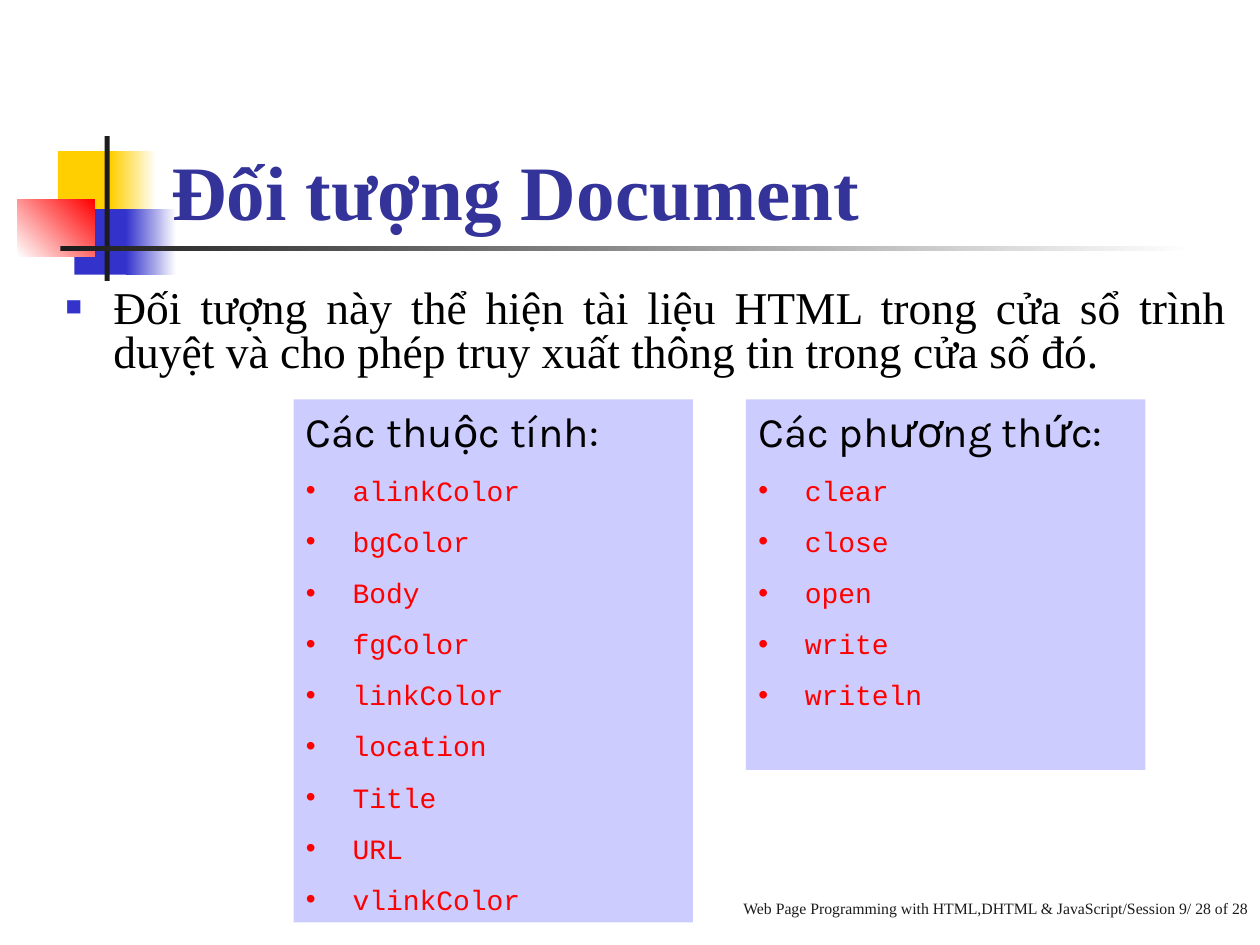
from dataclasses import dataclass

from lxml import etree
from pptx import Presentation
from pptx.dml.color import RGBColor
from pptx.enum import shapes, text
from pptx.oxml.ns import qn
from pptx.util import Inches, Pt

HUES = {
    "gold": "FFCF01", "blue": "3333CC", "red": "FF0000", "ink": "1C1C1C",
    "navy": "333399", "lilac": "CCCCFF", "white": "FFFFFF", "black": "000000",
}
SERIF, MONO, SANS = "Times New Roman", "Courier New", "Karla"


@dataclass
class Block:
    left: float
    top: float
    width: float
    height: float
    hue: str
    fade: str = ""
    angle: int = 0


@dataclass
class Panel:
    left: float
    height: float
    head: str
    items: list[str]


BLOCKS = [
    Block(0.46, 1.2, 0.48, 0.52, "gold"),
    Block(0.88, 1.2, 0.36, 0.52, "gold", "white"),
    Block(0.59, 1.66, 0.46, 0.52, "blue"),
    Block(1, 1.66, 0.4, 0.52, "blue", "white"),
    Block(0.14, 1.58, 0.61, 0.46, "white", "red", 45),
    Block(0.83, 1.08, 0.04, 1.15, "ink"),
    Block(0.48, 1.95, 9, 0.04, "ink", "white"),
]
PANELS = [
    Panel(5.92, 2.94, "Các phương thức:",
          ["clear", "close", "open", "write", "writeln"]),
    Panel(2.33, 4.15, "Các thuộc tính:",
          ["alinkColor", "bgColor", "Body", "fgColor", "linkColor",
           "location", "Title", "URL", "vlinkColor"]),
]


def color(name: str) -> RGBColor:
    return RGBColor.from_string(HUES[name])


def place(shape, left: float, top: float, width: float, height: float) -> None:
    shape.left, shape.top = Inches(left), Inches(top)
    shape.width, shape.height = Inches(width), Inches(height)


def style(para, face: str, size: float, hue: str, bold: bool = False) -> None:
    font = para.font
    font.name, font.size, font.bold = face, Pt(size), bold
    font.color.rgb = color(hue)


def bullet(para, mark: str, hue: str, indent: float, scale: int = 100) -> None:
    """Give the paragraph a hanging bullet; scale is a percentage."""
    props = para._p.get_or_add_pPr()
    props.set("marL", str(Inches(indent)))
    props.set("indent", str(-Inches(indent)))
    parts = [
        etree.Element(qn("a:buClr")),
        etree.Element(qn("a:buSzPct"), val=str(scale * 1000)),
        etree.Element(qn("a:buFont"), typeface="Arial"),
        etree.Element(qn("a:buChar"), char=mark),
    ]
    etree.SubElement(parts[0], qn("a:srgbClr"), val=HUES[hue])
    rest = props.find(qn("a:defRPr"))
    for part in parts:
        if rest is None:
            props.append(part)
        else:
            rest.addprevious(part)


def draw_block(slide, block: Block):
    shape = slide.shapes.add_shape(
        shapes.MSO_SHAPE.RECTANGLE, Inches(block.left), Inches(block.top),
        Inches(block.width), Inches(block.height))
    shape.shadow.inherit = False
    shape.line.fill.background()
    if block.fade:
        shape.fill.gradient()
        shape.fill.gradient_angle = block.angle
        for stop, hue in zip(shape.fill.gradient_stops, (block.hue, block.fade)):
            stop.color.rgb = color(hue)
    else:
        shape.fill.solid()
        shape.fill.fore_color.rgb = color(block.hue)
    return shape


def draw_panel(slide, panel: Panel) -> None:
    shape = draw_block(
        slide, Block(panel.left, 3.17, 3.17, panel.height, "lilac"))
    frame = shape.text_frame
    frame.word_wrap = True
    frame.vertical_anchor = text.MSO_ANCHOR.TOP
    head = frame.paragraphs[0]
    head.text = panel.head
    head.alignment = text.PP_ALIGN.LEFT
    head.space_before = Pt(15)
    style(head, SANS, 24, "black")
    for item in panel.items:
        para = frame.add_paragraph()
        para.text = item
        para.alignment = text.PP_ALIGN.LEFT
        para.space_before = Pt(10)
        style(para, MONO, 16, "red")
        bullet(para, "•", "red", 0.37)


def draw_title(slide) -> None:
    title = slide.shapes.title
    place(title, 1.26, 0.67, 8.52, 1.25)
    frame = title.text_frame
    frame.text = "Đối tượng Document"
    frame.auto_size = text.MSO_AUTO_SIZE.NONE
    frame.vertical_anchor = text.MSO_ANCHOR.BOTTOM
    para = frame.paragraphs[0]
    para.alignment = text.PP_ALIGN.LEFT
    style(para, SERIF, 44, "navy", True)
    slide.shapes._spTree.append(title._element)  # in front of the blocks


def draw_body(slide) -> None:
    body = slide.placeholders[1]
    place(body, 0.42, 2.25, 9.42, 1.38)
    frame = body.text_frame
    frame.text = ("Đối tượng này thể hiện tài liệu HTML trong cửa sổ trình "
                  "duyệt và cho phép truy xuất thông tin trong cửa số đó.")
    frame.auto_size = text.MSO_AUTO_SIZE.NONE
    para = frame.paragraphs[0]
    para.alignment = text.PP_ALIGN.JUSTIFY
    para.line_spacing = 0.8
    para.space_before = Pt(6.5)
    style(para, SERIF, 26, "black")
    bullet(para, "■", "blue", 0.38, 60)


def draw_footer(slide) -> None:
    box = slide.shapes.add_textbox(
        Inches(5.58), Inches(6.83), Inches(4.42), Inches(0.5))
    frame = box.text_frame
    frame.word_wrap = True
    frame.vertical_anchor = text.MSO_ANCHOR.BOTTOM
    para = frame.paragraphs[0]
    para.text = ("Web Page Programming with HTML,DHTML & "
                 "JavaScript/Session 9/ 28 of 28")
    para.alignment = text.PP_ALIGN.RIGHT
    style(para, SERIF, 9, "ink")


def main() -> None:
    deck = Presentation()
    deck.slide_width, deck.slide_height = Inches(10), Inches(7.5)
    slide = deck.slides.add_slide(deck.slide_layouts[1])
    for block in BLOCKS:
        draw_block(slide, block)
    draw_footer(slide)
    draw_title(slide)
    draw_body(slide)
    for panel in PANELS:
        draw_panel(slide, panel)
    deck.save("out.pptx")


if __name__ == "__main__":
    main()
